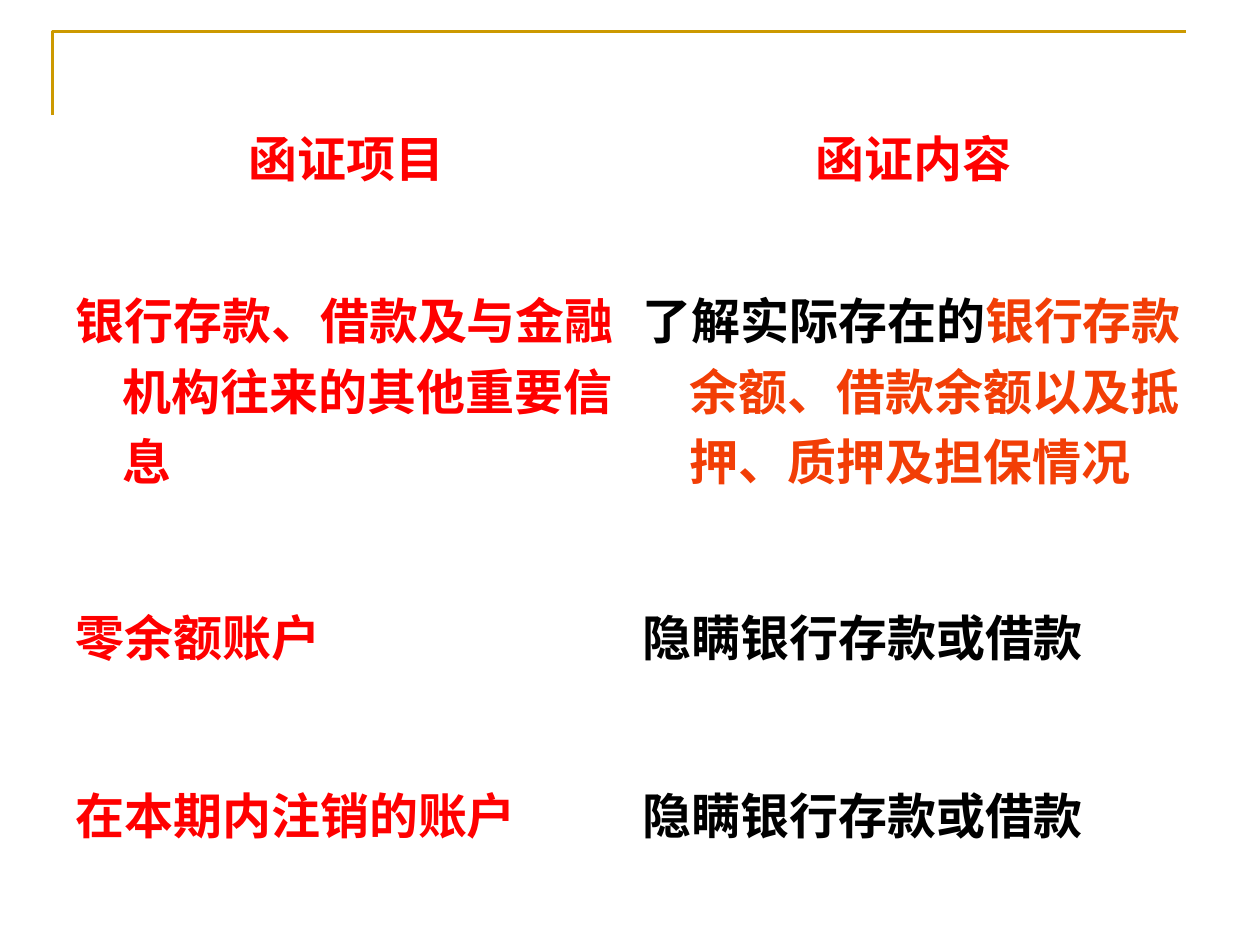
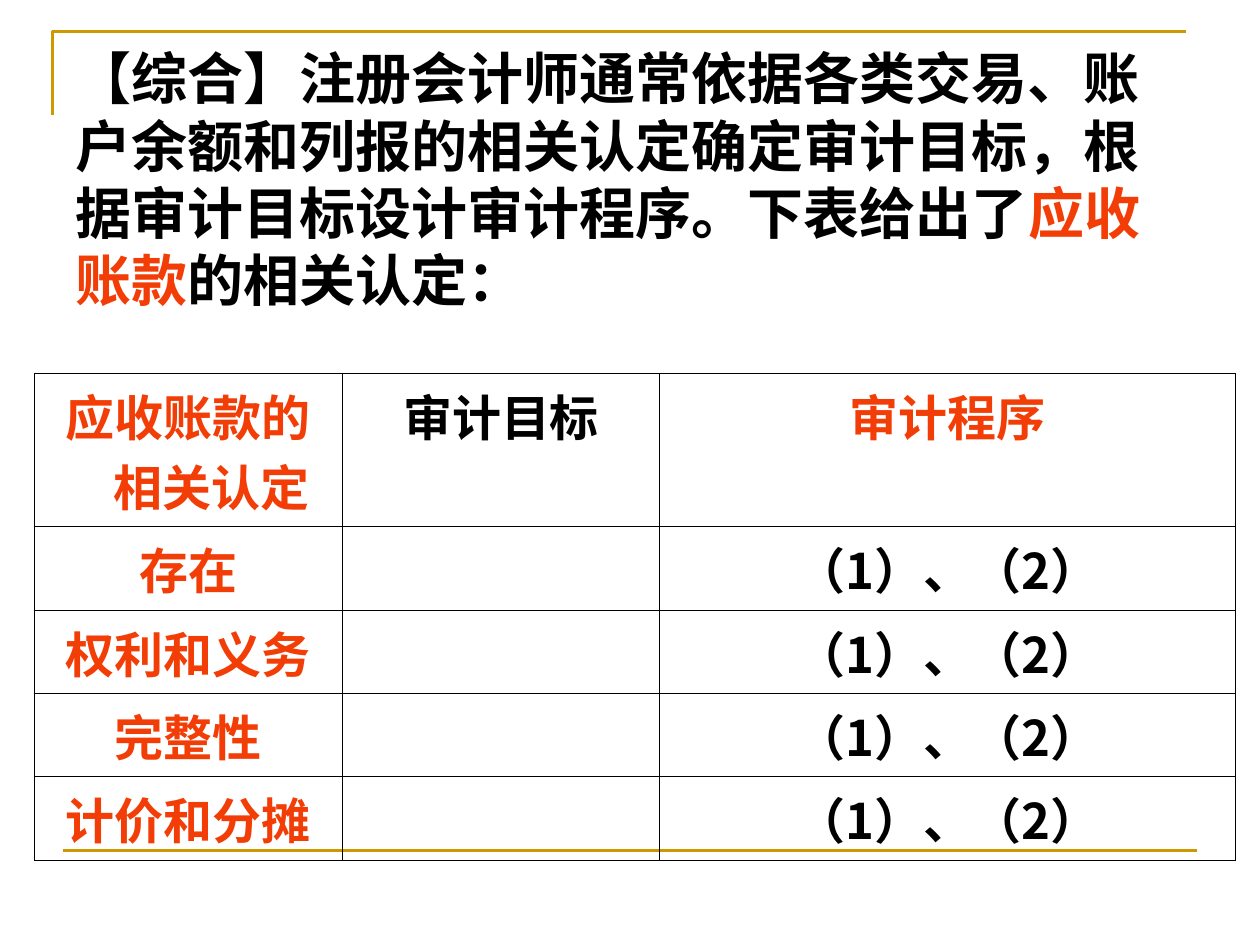
from lxml.etree import SubElement
from pptx import Presentation
from pptx.dml.color import RGBColor
from pptx.enum.shapes import MSO_CONNECTOR
from pptx.enum.text import MSO_ANCHOR, PP_ALIGN
from pptx.oxml.ns import qn
from pptx.util import Cm, Pt

COLOURS = {
    "gold": "CC9900",
    "red": "FF0000",
    "orange": "F23E06",
    "black": "000000",
    "white": "FFFFFF",
}
LATIN_FONT = "Arial"
CHINESE_FONT = "Noto Sans CJK SC"
HANGING_INDENT = Cm(0.95)


def colour(name):
    """Return the palette colour with this name."""
    return RGBColor.from_string(COLOURS[name])


def style_rule(shape):
    """Give a frame line its gold stroke."""
    shape.line.color.rgb = colour("gold")
    shape.line.width = Pt(1.5)


def add_page(deck):
    """Add a blank page with the gold corner and the bottom rule."""
    page = deck.slides.add_slide(deck.slide_layouts[6])
    builder = page.shapes.build_freeform(Cm(1.06), Cm(2.32))
    builder.add_line_segments([(Cm(1.06), Cm(0.64)), (Cm(23.91), Cm(0.64))], close=False)
    corner = builder.convert_to_shape()
    corner.fill.background()
    corner.shadow.inherit = False
    style_rule(corner)
    bottom_rule = page.shapes.add_connector(
        MSO_CONNECTOR.STRAIGHT, Cm(1.27), Cm(17.15), Cm(24.13), Cm(17.15))
    style_rule(bottom_rule)
    SubElement(bottom_rule._element.spPr, qn("a:effectLst"))
    return page


def write_paragraph(para, spans, size, font_name):
    """Write (text, colour) spans in bold, with the first colour as the default."""
    base_colour = spans[0][1]
    para.font.size = Pt(size)
    para.font.bold = True
    para.font.name = font_name
    para.font.color.rgb = colour(base_colour)
    defaults = para._p.pPr.find(qn("a:defRPr"))
    SubElement(defaults, qn("a:ea")).set("typeface", CHINESE_FONT)
    for text, name in spans:
        span = para.add_run()
        span.text = text
        if name != base_colour:
            span.font.color.rgb = colour(name)


def add_title(page, spans):
    """Add the title text box."""
    box = page.shapes.add_textbox(Cm(1.27), Cm(0.76), Cm(22.63), Cm(5.56))
    box.text_frame.word_wrap = True
    write_paragraph(box.text_frame.paragraphs[0], spans, 32, LATIN_FONT)


def write_cell(cell, spans, font_name, centred):
    """Write one hanging paragraph into a table cell."""
    para = cell.text_frame.paragraphs[0]
    para.alignment = PP_ALIGN.CENTER if centred else PP_ALIGN.LEFT
    properties = para._p.get_or_add_pPr()
    properties.set("marL", str(HANGING_INDENT))
    properties.set("indent", str(-HANGING_INDENT))
    write_paragraph(para, spans, 28, font_name)


def add_borders(cell):
    """Draw thin black borders on all four sides of a cell."""
    properties = cell._tc.get_or_add_tcPr()
    for index, side in enumerate(("lnL", "lnR", "lnT", "lnB")):
        border = properties.makeelement(qn(f"a:{side}"), {"w": str(Pt(0.45))})
        fill = SubElement(border, qn("a:solidFill"))
        SubElement(fill, qn("a:srgbClr")).set("val", COLOURS["black"])
        properties.insert(index, border)


def add_grid(page, left, top, widths, heights, rows):
    """Add a plain table sized in centimetres and yield its cells with their spans."""
    table = page.shapes.add_table(
        len(heights), len(widths), Cm(left), Cm(top), Cm(sum(widths)), Cm(sum(heights))).table
    table.first_row = False
    table.horz_banding = False
    for column, width in zip(table.columns, widths):
        column.width = Cm(width)
    for row, height in zip(table.rows, heights):
        row.height = Cm(height)
    for row_index, row in enumerate(rows):
        for column_index, spans in enumerate(row):
            yield row_index, table.cell(row_index, column_index), spans


def add_confirmation_table(page):
    """Add the borderless table of confirmation items and their contents."""
    rows = [
        ([("函证项目", "red")], [("函证内容", "red")]),
        ([("银行存款、借款及与金融机构往来的其他重要信息", "red")],
         [("了解实际存在的", "black"),
          ("银行存款余额、借款余额以及抵押、质押及担保情况", "orange")]),
        ([("零余额账户", "red")], [("隐瞒银行存款或借款", "black")]),
        ([("在本期内注销的账户", "red")], [("隐瞒银行存款或借款", "black")]),
    ]
    heights = [4.86, 4.27, 5.38, 1.8]
    for row_index, cell, spans in add_grid(page, 1.27, 0.71, [11.43] * 2, heights, rows):
        cell.fill.solid()
        cell.fill.fore_color.rgb = colour("white")
        cell.vertical_anchor = MSO_ANCHOR.MIDDLE
        write_cell(cell, spans, LATIN_FONT, centred=row_index == 0)


def add_assertion_table(page):
    """Add the ruled table of assertions, audit goals and procedures."""
    header = ([("应收账款的相关认定", "orange")], [("审计目标", "black")], [("审计程序", "orange")])
    assertions = ["存在", "权利和义务", "完整性", "计价和分摊"]
    rows = [header] + [
        ([(assertion, "orange")], None, [("（1）、（2）", "black")]) for assertion in assertions]
    heights = [3.1] + [1.68] * len(assertions)
    for _, cell, spans in add_grid(page, 0.69, 7.52, [6.21, 6.4, 11.61], heights, rows):
        cell.fill.background()
        add_borders(cell)
        if spans:
            write_cell(cell, spans, CHINESE_FONT, centred=True)


def main():
    """Build both pages and save the deck."""
    deck = Presentation()
    deck.slide_width = Cm(25.4)
    deck.slide_height = Cm(19.05)

    add_confirmation_table(add_page(deck))

    page = add_page(deck)
    add_title(page, [
        ("【综合】注册会计师通常依据各类交易、账户余额和列报的相关认定确定审计目标，"
         "根据审计目标设计审计程序。下表给出了", "black"),
        ("应收账款", "orange"),
        ("的相关认定：", "black"),
    ])
    add_assertion_table(page)

    deck.save("out.pptx")


if __name__ == "__main__":
    main()
